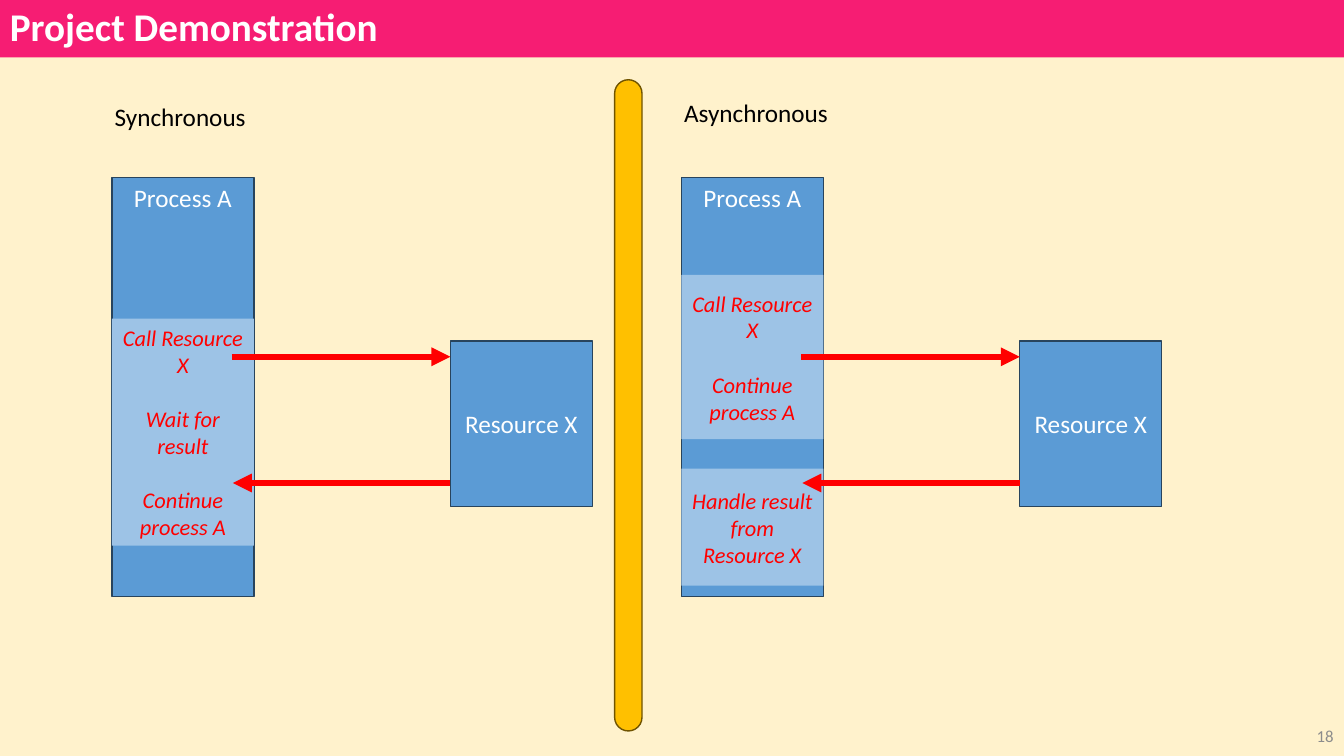
import pptx
import pptx.dml.color
import pptx.enum.shapes
import pptx.enum.text
import pptx.oxml.ns
import lxml.etree
from pptx.util import Cm, Pt

SHAPE = pptx.enum.shapes.MSO_SHAPE
ALIGN = pptx.enum.text.PP_ALIGN
ANCHOR = pptx.enum.text.MSO_ANCHOR

SLIDE_WIDTH, SLIDE_HEIGHT = 33.87, 19.05
PROCESS_LEFT, PROCESS_WIDTH = 2.82, 3.58
RESOURCE_OFFSET = 8.53
SIDE_OFFSET = 14.35

TITLE = {"size": Pt(28), "bold": True}
LABEL = {"size": Pt(18)}
STEP = {"size": Pt(16), "italic": True}
PAGE = {"size": Pt(12)}

# Heading, heading top, and step boxes as (top, height, steps)
SIDES = [
    ("Synchronous", 2.44, [
        (8.03, 5.72, ["Call Resource X", "Wait for result", "Continue process A"]),
    ]),
    ("Asynchronous", 2.34, [
        (6.93, 4.14, ["Call Resource X", "Continue process A"]),
        (11.81, 2.95, ["Handle result from Resource X"]),
    ]),
]


def paint(color_format, color):
    color_format.rgb = pptx.dml.color.RGBColor.from_string(color)


def write(shape, texts, font, color, align=ALIGN.LEFT, anchor=ANCHOR.TOP, gap=0):
    """Fill a shape with paragraphs, separated by gap points."""
    frame = shape.text_frame
    frame.word_wrap = True
    frame.vertical_anchor = anchor
    for index, text in enumerate(texts):
        paragraph = frame.add_paragraph() if index else frame.paragraphs[0]
        paragraph.alignment = align
        if index:
            paragraph.space_before = Pt(gap)
        run = paragraph.add_run()
        run.text = text
        for name, value in {"name": "Calibri", **font}.items():
            setattr(run.font, name, value)
        paint(run.font.color, color)


def add_block(slide, left, top, width, height, fill, outline=None, kind=SHAPE.RECTANGLE):
    block = slide.shapes.add_shape(kind, Cm(left), Cm(top), Cm(width), Cm(height))
    block.shadow.inherit = False
    block.fill.solid()
    paint(block.fill.fore_color, fill)
    if outline:
        paint(block.line.color, outline)
        block.line.width = Pt(1)
    else:
        block.line.fill.background()
    return block


def add_label(slide, left, top, width, text, font, color, **layout):
    label = slide.shapes.add_textbox(Cm(left), Cm(top), Cm(width), Cm(1.02))
    write(label, [text], font, color, **layout)


def add_arrow(slide, start, end, y):
    arrow = slide.shapes.add_connector(
        pptx.enum.shapes.MSO_CONNECTOR.STRAIGHT, Cm(start), Cm(y), Cm(end), Cm(y))
    paint(arrow.line.color, "FF0000")
    arrow.line.width = Pt(4.5)
    qn = pptx.oxml.ns.qn
    properties = arrow.element.spPr
    lxml.etree.SubElement(properties.find(qn("a:ln")), qn("a:tailEnd"), type="triangle")
    lxml.etree.SubElement(properties, qn("a:effectLst"))


def add_side(slide, offset, heading, heading_top, step_boxes):
    """Draw one process, its steps, and its exchange with the resource."""
    left = PROCESS_LEFT + offset
    resource_left = left + RESOURCE_OFFSET
    add_label(slide, left - 0.18, heading_top, 11.86, heading, LABEL, "000000")

    process = add_block(slide, left, 4.47, PROCESS_WIDTH, 10.57, "5B9BD5", "28445D")
    write(process, ["Process A"], LABEL, "FFFFFF", ALIGN.CENTER)
    resource = add_block(slide, resource_left, 8.59, PROCESS_WIDTH, 4.17, "5B9BD5", "28445D")
    write(resource, ["Resource X"], LABEL, "FFFFFF", ALIGN.CENTER, ANCHOR.MIDDLE)

    for top, height, steps in step_boxes:
        step_box = add_block(slide, left, top, PROCESS_WIDTH, height, "9DC3E6")
        write(step_box, steps, STEP, "FF0000", ALIGN.CENTER, ANCHOR.MIDDLE, gap=19.5)

    add_arrow(slide, resource_left, left + 3.05, 12.17)
    add_arrow(slide, left + 3.02, resource_left, 8.99)


def main():
    deck = pptx.Presentation()
    deck.slide_width, deck.slide_height = Cm(SLIDE_WIDTH), Cm(SLIDE_HEIGHT)
    slide = deck.slides.add_slide(deck.slide_layouts[6])
    slide.background.fill.solid()
    paint(slide.background.fill.fore_color, "FFF2CC")

    title = add_block(slide, 0, 0, SLIDE_WIDTH, 1.45, "F61D73")
    write(title, ["Project Demonstration"], TITLE, "FFFFFF", anchor=ANCHOR.MIDDLE)
    title.text_frame.paragraphs[0].line_spacing = 0.9
    add_label(slide, 26.24, 18.03, 7.62, "18", PAGE, "8C8C8C",
              align=ALIGN.RIGHT, anchor=ANCHOR.MIDDLE)

    for index, side in enumerate(SIDES):
        add_side(slide, index * SIDE_OFFSET, *side)

    divider = add_block(slide, 15.49, 2.01, 0.69, 16.41, "FFC000", "705400",
                        SHAPE.ROUNDED_RECTANGLE)
    divider.adjustments[0] = 0.5
    deck.save("out.pptx")


if __name__ == "__main__":
    main()
